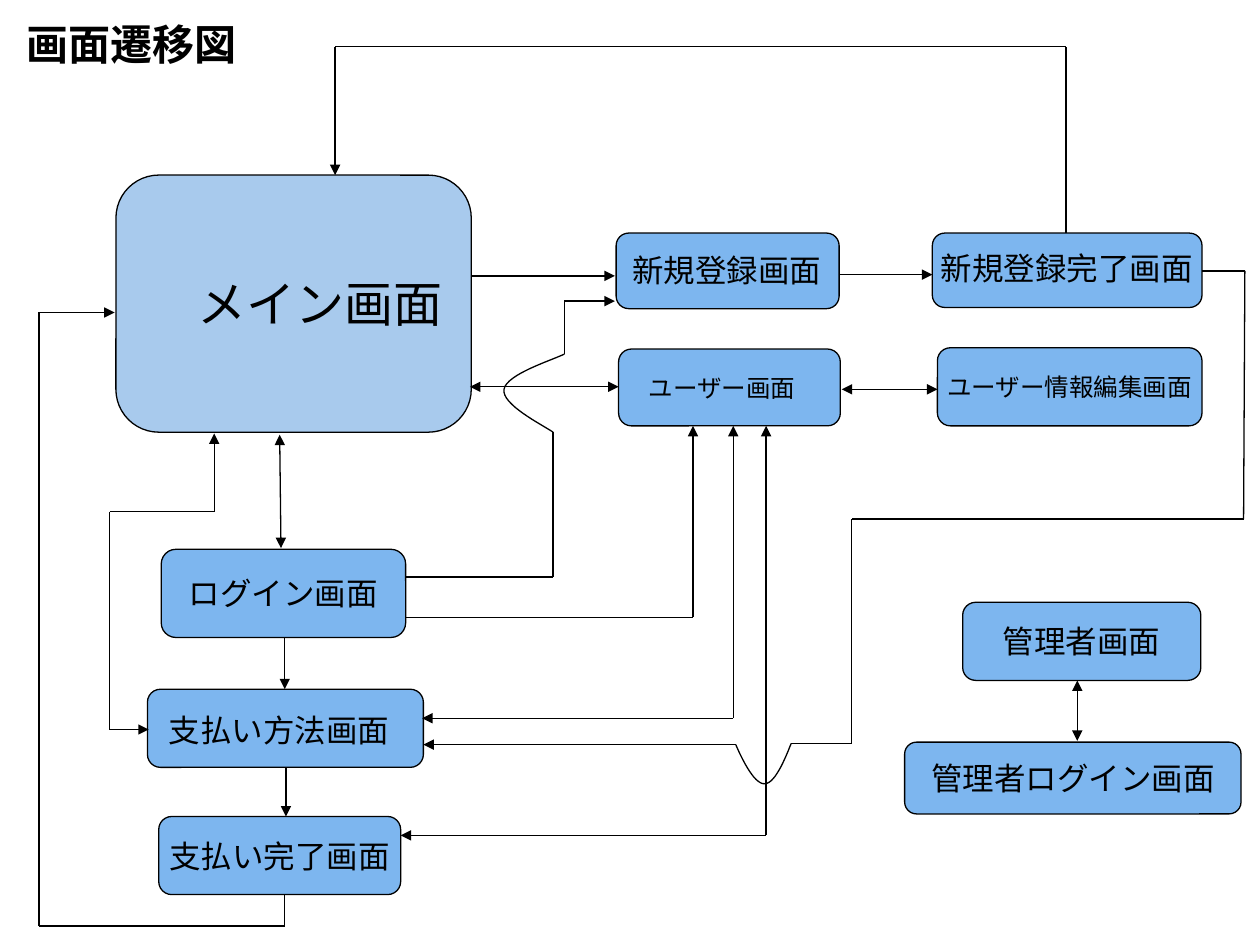
"""Build the screen transition diagram slide."""
from dataclasses import dataclass
from itertools import pairwise

from lxml.etree import SubElement
from pptx import Presentation
from pptx.dml.color import RGBColor
from pptx.enum.shapes import MSO_CONNECTOR, MSO_SHAPE
from pptx.enum.text import MSO_ANCHOR, MSO_AUTO_SIZE, PP_ALIGN
from pptx.oxml.ns import qn
from pptx.shapes.autoshape import Shape
from pptx.shapes.shapetree import SlideShapes
from pptx.text.text import TextFrame
from pptx.util import Emu, Pt

PX = 9144
BLACK = RGBColor(0x00, 0x00, 0x00)
SKY = RGBColor(0x7D, 0xB6, 0xEF)
OCEAN = RGBColor(0x00, 0x66, 0xCC)
FONT = "Arial"
LINE_WIDTH = Pt(0.75)
CURVE_STEPS = 16

Point = tuple[int, int]


@dataclass(frozen=True)
class Screen:
    left: int
    top: int
    width: int
    height: int
    label: str = ""
    size: int = 18
    fill: RGBColor = SKY
    opacity: int = 100


@dataclass(frozen=True)
class Caption:
    left: int
    top: int
    width: int
    height: int
    label: str
    size: int = 18
    bold: bool = False


@dataclass(frozen=True)
class Route:
    points: tuple[Point, ...]
    head: bool = False
    tail: bool = True


SCREENS = (
    Screen(92, 139, 282, 204, fill=OCEAN, opacity=34),
    Screen(491, 277, 176, 61),
    Screen(117, 547, 219, 62),
    Screen(126, 648, 192, 62, "支払い完了画面"),
    Screen(740, 185, 214, 59),
    Screen(489, 185, 177, 60),
    Screen(744, 276, 210, 62, "ユーザー情報編集画面", size=14),
    Screen(128, 436, 194, 70, "ログイン画面"),
    Screen(764, 478, 189, 62, "管理者画面"),
    Screen(718, 589, 267, 57, "管理者ログイン画面"),
)

CAPTIONS = (
    Caption(11, 10, 267, 50, "画面遷移図", size=24, bold=True),
    Caption(147, 212, 227, 66, "メイン画面", size=28),
    Caption(492, 194, 266, 40, "新規登録画面"),
    Caption(737, 193, 257, 40, "新規登録完了画面"),
    Caption(505, 291, 211, 57, "ユーザー画面", size=14),
    Caption(124, 559, 212, 40, "支払い方法画面"),
)

ROUTES = (
    Route(((374, 219), (488, 219))),
    Route(((666, 218), (740, 218))),
    Route(((846, 185), (846, 37), (266, 37), (266, 139))),
    Route(((373, 307), (491, 307)), head=True),
    Route(((668, 309), (744, 309)), head=True),
    Route(((222, 345), (223, 435)), head=True),
    Route(((226, 506), (226, 547))),
    Route(((227, 609), (227, 648))),
    Route(((322, 490), (550, 490), (550, 338))),
    Route(((335, 570), (582, 570), (582, 338)), head=True),
    Route(((318, 663), (608, 663), (608, 338)), head=True),
    Route(((322, 458), (439, 458), (439, 343)), tail=False),
    Route(((448, 281), (448, 239), (488, 239))),
    Route(((954, 215), (988, 215), (987, 412), (676, 412), (676, 590), (628, 590)), tail=False),
    Route(((584, 591), (336, 591))),
    Route(((170, 344), (170, 406), (87, 406), (87, 579), (118, 579)), head=True),
    Route(((226, 710), (226, 735), (31, 735), (31, 248), (91, 248))),
    Route(((855, 540), (855, 588)), head=True),
)

CURVES: tuple[tuple[Point, ...], ...] = (
    ((439, 343), (430, 337), (398, 321), (400, 309), (402, 297), (438, 286), (448, 281)),
    ((628, 590), (625, 597), (616, 622), (607, 622), (598, 623), (587, 598), (584, 591)),
)


def px(length: int) -> Emu:
    return Emu(length * PX)


def outline(shape: Shape) -> None:
    shape.shadow.inherit = False
    shape.line.color.rgb = BLACK
    shape.line.width = LINE_WIDTH


def write(frame: TextFrame, text: str, *, size: int, bold: bool = False,
          align: PP_ALIGN = PP_ALIGN.LEFT) -> None:
    para = frame.paragraphs[0]
    para.alignment = align
    span = para.add_run()
    span.text = text
    span.font.name = FONT
    span.font.size = Pt(size)
    span.font.bold = bold
    span.font.color.rgb = BLACK


def draw_screen(shapes: SlideShapes, screen: Screen) -> None:
    box = shapes.add_shape(MSO_SHAPE.FLOWCHART_ALTERNATE_PROCESS, px(screen.left),
                           px(screen.top), px(screen.width), px(screen.height))
    outline(box)
    box.fill.solid()
    box.fill.fore_color.rgb = screen.fill
    if screen.opacity < 100:
        color = box.fill._xPr.find(qn("a:solidFill"))[0]
        SubElement(color, qn("a:alpha"), val=str(screen.opacity * 1000))
    if screen.label:
        box.text_frame.word_wrap = False
        box.text_frame.vertical_anchor = MSO_ANCHOR.MIDDLE
        write(box.text_frame, screen.label, size=screen.size, align=PP_ALIGN.CENTER)


def draw_caption(shapes: SlideShapes, caption: Caption) -> None:
    box = shapes.add_textbox(px(caption.left), px(caption.top),
                             px(caption.width), px(caption.height))
    box.text_frame.word_wrap = True
    box.text_frame.auto_size = MSO_AUTO_SIZE.SHAPE_TO_FIT_TEXT
    write(box.text_frame, caption.label, size=caption.size, bold=caption.bold)


def draw_route(shapes: SlideShapes, route: Route) -> None:
    last = len(route.points) - 2
    for index, (start, end) in enumerate(pairwise(route.points)):
        segment = shapes.add_connector(MSO_CONNECTOR.STRAIGHT, *map(px, start + end))
        segment.line.color.rgb = BLACK
        segment.line.width = LINE_WIDTH
        properties = segment._element.spPr
        stroke = properties.find(qn("a:ln"))
        if route.head and index == 0:
            SubElement(stroke, qn("a:headEnd"), type="triangle")
        if route.tail and index == last:
            SubElement(stroke, qn("a:tailEnd"), type="triangle")
        SubElement(properties, qn("a:effectLst"))


def bezier(controls: tuple[Point, ...], t: float) -> tuple[int, int]:
    weights = ((1 - t) ** 3, 3 * t * (1 - t) ** 2, 3 * t ** 2 * (1 - t), t ** 3)
    x, y = (sum(w * v for w, v in zip(weights, axis)) for axis in zip(*controls))
    return round(x * PX), round(y * PX)


def draw_curve(shapes: SlideShapes, points: tuple[Point, ...]) -> None:
    vertices = [bezier(points[first:first + 4], step / CURVE_STEPS)
                for first in range(0, len(points) - 1, 3)
                for step in range(1, CURVE_STEPS + 1)]
    builder = shapes.build_freeform(*map(px, points[0]))
    builder.add_line_segments(vertices, close=False)
    curve = builder.convert_to_shape()
    outline(curve)
    curve.fill.background()


def main() -> None:
    deck = Presentation()
    deck.slide_width, deck.slide_height = px(1000), px(750)
    page = deck.slides.add_slide(deck.slide_layouts[6])
    for screen in SCREENS:
        draw_screen(page.shapes, screen)
    for caption in CAPTIONS:
        draw_caption(page.shapes, caption)
    for route in ROUTES:
        draw_route(page.shapes, route)
    for curve in CURVES:
        draw_curve(page.shapes, curve)
    deck.save("out.pptx")


if __name__ == "__main__":
    main()
